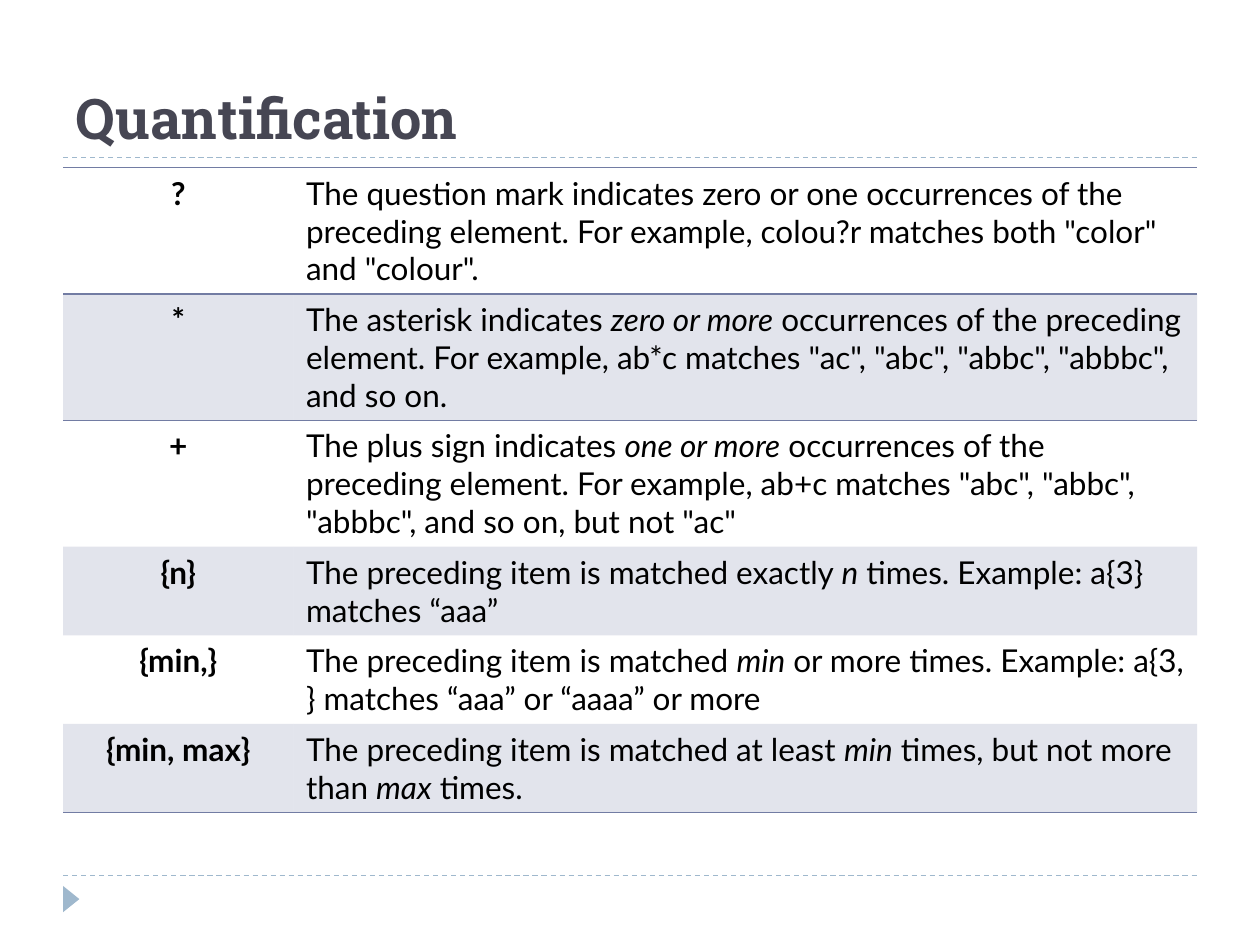
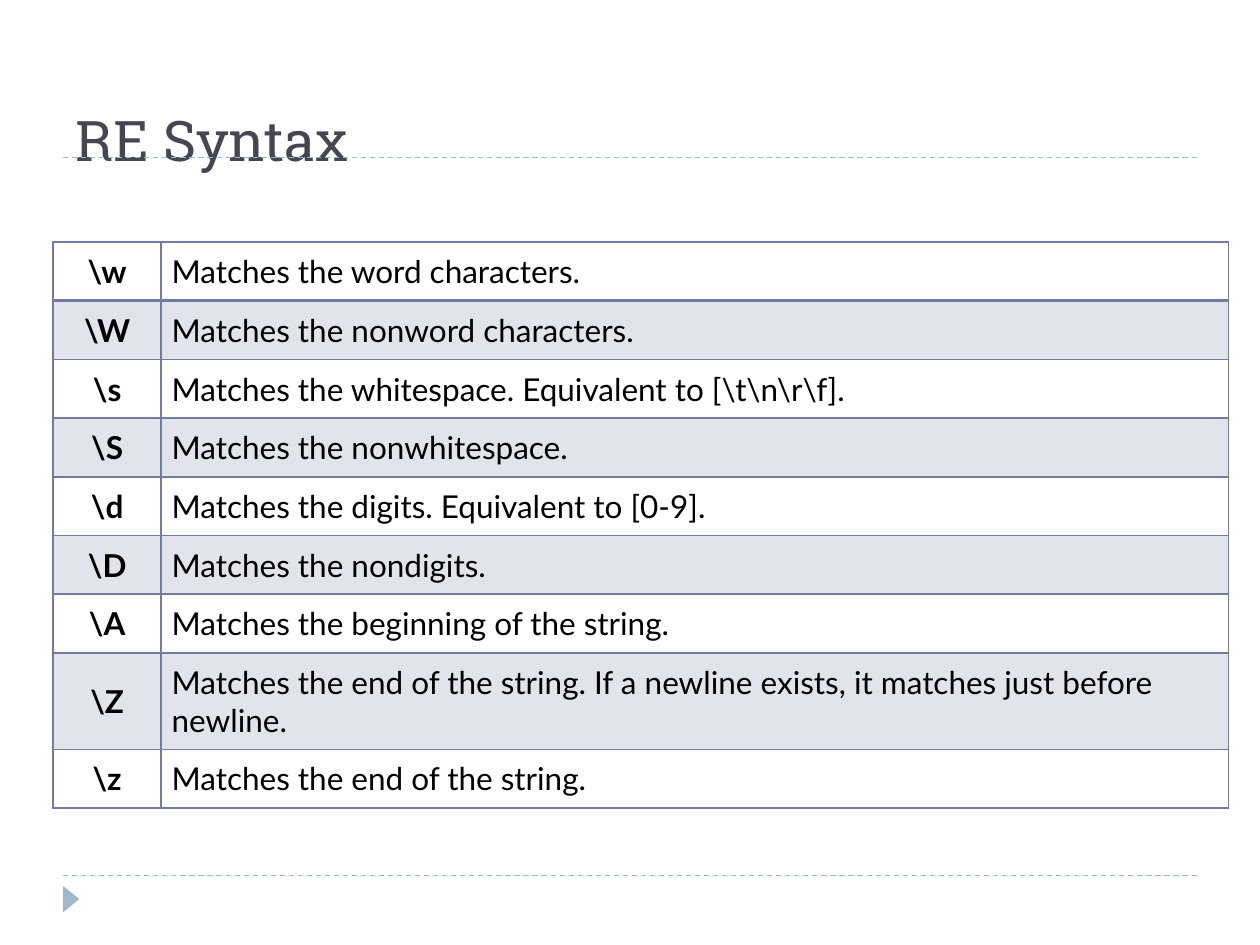
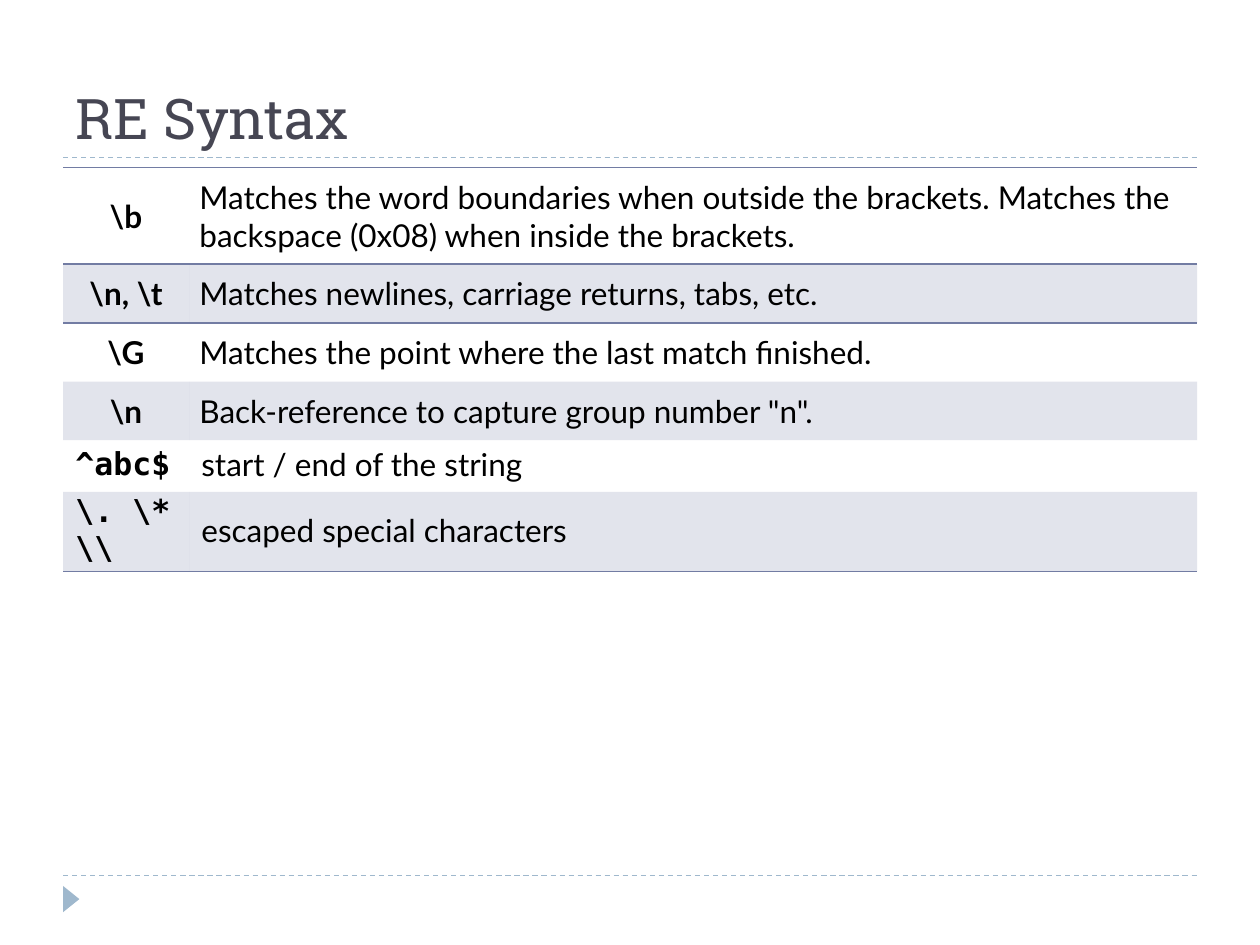
from pptx import Presentation
from pptx.dml.color import RGBColor
from pptx.enum import dml, shapes, text
from pptx.oxml import parse_xml
from pptx.oxml.ns import nsdecls, qn
from pptx.util import Cm, Pt

TITLE_GREY = RGBColor(0x46, 0x46, 0x53)
PALE_BLUE = RGBColor(0x9F, 0xB8, 0xCD)
SLATE = RGBColor(0x72, 0x7C, 0xA3)
BLACK = RGBColor(0, 0, 0)
TITLE_FONT, BODY_FONT, CODE_FONT = "Roboto Slab", "Lato", "DejaVu Sans Mono"
NO_STYLE = "{2D5ABB26-0587-4C30-8999-92F81FD0307C}"
BAND_ALPHA = 20000

LEFT, WIDTH = 1.27, 22.86
ROW_HEIGHT = 1.04
RULES_Y = (17.65, 3.18)

# Cell margins: left, top, right, bottom
PLAIN = (0.25, 0.13, 0.25, 0.13)
ROOMY = (0.21, 0.21, 0.21, 0.21)
TIGHT = (0.25, 0.03, 0.25, 0.1)

# Words between underscores are set in italics.
QUANTIFIERS = [
    ("?", 'The question mark indicates zero or one occurrences of the preceding element. '
          'For example, colou?r matches both "color" and "colour".'),
    ("*", 'The asterisk indicates _zero or more_ occurrences of the preceding element. '
          'For example, ab*c matches "ac", "abc", "abbc", "abbbc", and so on.'),
    ("+", 'The plus sign indicates _one or more_ occurrences of the preceding element. '
          'For example, ab+c matches "abc", "abbc", "abbbc", and so on, but not "ac"'),
    ("{n}", "The preceding item is matched exactly _n_ times. Example: a{3} matches “aaa”"),
    ("{min,}", "The preceding item is matched _min_ or more times. "
               "Example: a{3, } matches “aaa” or “aaaa” or more"),
    ("{min, max}", "The preceding item is matched at least _min_ times, "
                   "but not more than _max_ times."),
]
CHARACTER_CLASSES = [
    (r"\w", "Matches the word characters."),
    (r"\W", "Matches the nonword characters."),
    (r"\s", r"Matches the whitespace. Equivalent to [\t\n\r\f]."),
    (r"\S", "Matches the nonwhitespace."),
    (r"\d", "Matches the digits. Equivalent to [0-9]."),
    (r"\D", "Matches the nondigits."),
    (r"\A", "Matches the beginning of the string."),
    (r"\Z", "Matches the end of the string. If a newline exists, "
            "it matches just before newline."),
    (r"\z", "Matches the end of the string."),
]
BOUNDARIES = [
    (r"\b", "Matches the word boundaries when outside the brackets. "
            "Matches the backspace (0x08) when inside the brackets."),
    (r"\n, \t", "Matches newlines, carriage returns, tabs, etc."),
    (r"\G", "Matches the point where the last match finished."),
    (r"\n", 'Back-reference to capture group number "n".'),
    ("^abc$", "start / end of the string"),
    (r"\. \* \\", "escaped special characters"),
]
SLIDES = [
    dict(title="Quantification", title_height=2.74, bold=True, entries=QUANTIFIERS,
         corner=(LEFT, 3.38), columns=(4.65, 18.21), height=12.95,
         margins=PLAIN, key_anchor=text.MSO_ANCHOR.TOP),
    dict(title="RE Syntax", title_height=3.18, entries=CHARACTER_CLASSES,
         corner=(1.07, 4.88), columns=(2.18, 21.51), height=10.67, grid=True),
    dict(title="RE Syntax", title_height=2.74, entries=BOUNDARIES,
         corner=(LEFT, 3.38), columns=(2.54, 20.32), height=7.57, code_rows=2),
]


def add_title(slide, wording, height, bold):
    title = slide.shapes.title
    title.left, title.top = Cm(LEFT), Cm(0.43)
    title.width, title.height = Cm(WIDTH), Cm(height)
    frame = title.text_frame
    frame.text = wording
    frame.auto_size = text.MSO_AUTO_SIZE.NONE
    frame.vertical_anchor = text.MSO_ANCHOR.BOTTOM
    paragraph = frame.paragraphs[0]
    paragraph.alignment = text.PP_ALIGN.LEFT
    font = paragraph.runs[0].font
    font.name, font.size, font.bold = TITLE_FONT, Pt(32), bold
    font.color.rgb = TITLE_GREY


def add_decoration(slide):
    for y in RULES_Y:
        rule = slide.shapes.add_connector(shapes.MSO_CONNECTOR.STRAIGHT,
                                          Cm(LEFT), Cm(y), Cm(LEFT + WIDTH), Cm(y))
        rule.line.color.rgb = PALE_BLUE
        rule.line.width = Pt(0.75)
        rule.line.dash_style = dml.MSO_LINE.DASH
        rule.element.spPr.append(parse_xml(f"<a:effectLst {nsdecls('a')}/>"))
    marker = slide.shapes.add_shape(shapes.MSO_SHAPE.ISOSCELES_TRIANGLE,
                                    Cm(1.17), Cm(17.96), Cm(0.53), Cm(0.33))
    marker.rotation = 90
    marker.shadow.inherit = False
    marker.fill.solid()
    marker.fill.fore_color.rgb = PALE_BLUE
    marker.line.fill.background()


def edge_widths(row, last, grid):
    """Return the width in points of each drawn edge, in schema order."""
    if grid:
        return {"L": 1, "R": 1, "T": 2 if row == 1 else 1, "B": 2 if row == 0 else 1}
    edges = {}
    if row in (0, 1):
        edges["T"] = 1
    if row in (0, last):
        edges["B"] = 1
    return edges


def paint_cell(cell, edges, banded):
    properties = cell._tc.get_or_add_tcPr()
    for side, points in edges.items():
        properties.append(parse_xml(
            f'<a:ln{side} {nsdecls("a")} w="{Pt(points)}"><a:solidFill>'
            f'<a:srgbClr val="{SLATE}"/></a:solidFill></a:ln{side}>'))
    if banded:
        cell.fill.solid()
        cell.fill.fore_color.rgb = SLATE
        colour = properties.find(qn("a:solidFill")).find(qn("a:srgbClr"))
        colour.append(parse_xml(f'<a:alpha {nsdecls("a")} val="{BAND_ALPHA}"/>'))
    else:
        cell.fill.background()


def write_cell(cell, wording, margins, anchor, alignment, font_name, bold):
    (cell.margin_left, cell.margin_top,
     cell.margin_right, cell.margin_bottom) = map(Cm, margins)
    cell.vertical_anchor = anchor
    paragraph = cell.text_frame.paragraphs[0]
    paragraph.alignment = alignment
    for index, part in enumerate(wording.split("_")):
        run = paragraph.add_run()
        run.text = part
        font = run.font
        font.name, font.size = font_name, Pt(18)
        font.bold, font.italic = bold, index % 2 == 1
        font.color.rgb = BLACK


def add_syntax_table(slide, entries, corner, columns, height, margins=ROOMY,
                     key_anchor=text.MSO_ANCHOR.MIDDLE, grid=False, code_rows=0):
    """Add a banded table of symbols; the last code_rows symbols are set as code."""
    left, top = corner
    frame = slide.shapes.add_table(len(entries), 2, Cm(left), Cm(top),
                                   Cm(sum(columns)), Cm(height))
    table = frame.table
    table.first_row = table.horz_banding = False
    next(frame.element.iter(qn("a:tableStyleId"))).text = NO_STYLE
    for column, width in zip(table.columns, columns):
        column.width = Cm(width)

    last = len(entries) - 1
    for row, (symbol, meaning) in enumerate(entries):
        table.rows[row].height = Cm(ROW_HEIGHT)
        is_code = row > last - code_rows
        row_margins = TIGHT if is_code else margins
        symbol_cell, meaning_cell = table.cell(row, 0), table.cell(row, 1)
        write_cell(symbol_cell, symbol, row_margins, key_anchor,
                   text.PP_ALIGN.LEFT if is_code else text.PP_ALIGN.CENTER,
                   CODE_FONT if is_code else BODY_FONT, True)
        write_cell(meaning_cell, meaning, row_margins, text.MSO_ANCHOR.MIDDLE,
                   text.PP_ALIGN.LEFT, BODY_FONT, False)
        for cell in (symbol_cell, meaning_cell):
            paint_cell(cell, edge_widths(row, last, grid), row % 2 == 1)
    frame.height = Cm(height)


def main():
    deck = Presentation()
    deck.slide_width, deck.slide_height = Cm(25.4), Cm(19.05)
    title_only = deck.slide_layouts[5]
    for content in SLIDES:
        table_content = dict(content)
        title = table_content.pop("title")
        title_height = table_content.pop("title_height")
        bold = table_content.pop("bold", False)
        slide = deck.slides.add_slide(title_only)
        add_decoration(slide)
        add_title(slide, title, title_height, bold)
        add_syntax_table(slide, **table_content)
    deck.save("out.pptx")


if __name__ == "__main__":
    main()
